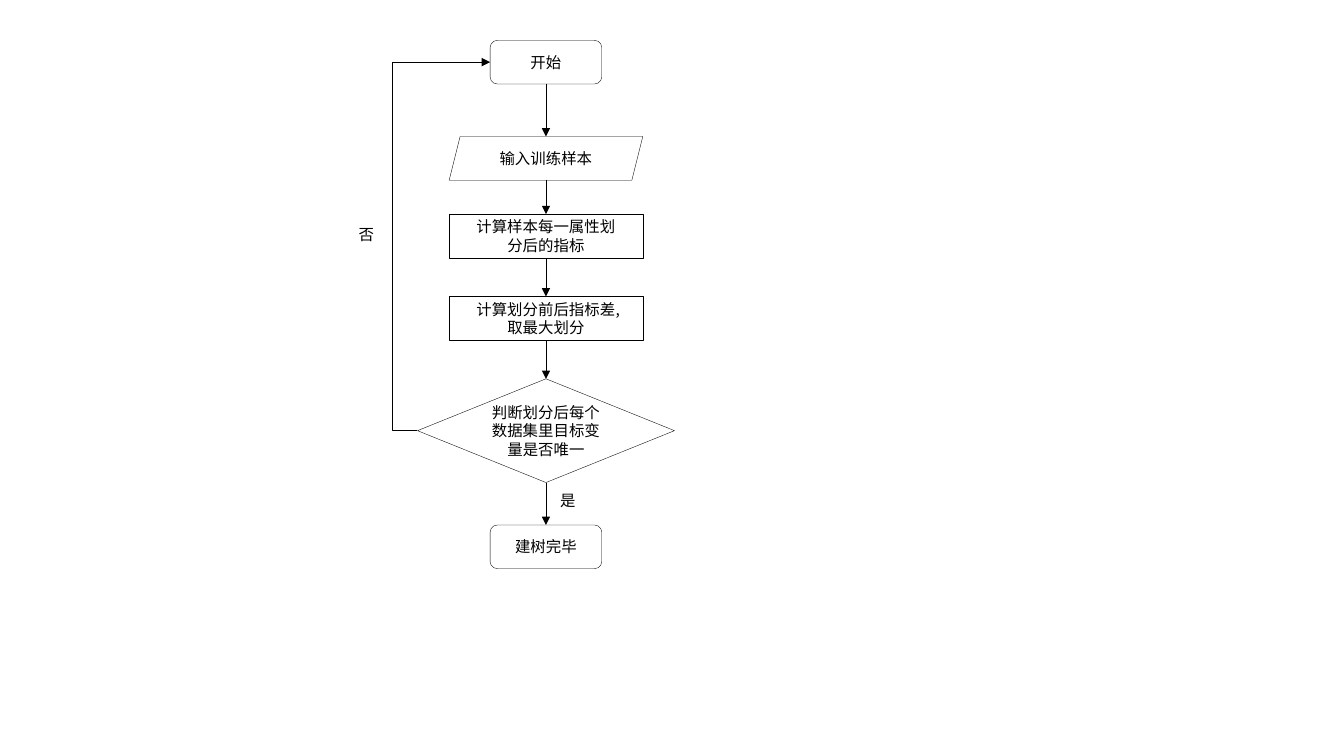
"""Build the decision-tree training flowchart on one slide."""
from itertools import pairwise
from typing import NamedTuple

from lxml import etree
from pptx import Presentation
from pptx.dml.color import RGBColor
from pptx.enum.shapes import MSO_CONNECTOR, MSO_SHAPE
from pptx.enum.text import MSO_ANCHOR, MSO_AUTO_SIZE, PP_ALIGN
from pptx.oxml.ns import qn
from pptx.util import Inches, Pt

ROUNDED = MSO_SHAPE.ROUNDED_RECTANGLE
SLANTED = MSO_SHAPE.PARALLELOGRAM
DECISION = MSO_SHAPE.FLOWCHART_DECISION
STRAIGHT, ELBOW = MSO_CONNECTOR.STRAIGHT, MSO_CONNECTOR.ELBOW
MIDDLE, CENTER, LEFT = MSO_ANCHOR.MIDDLE, PP_ALIGN.CENTER, PP_ALIGN.LEFT
FIT_TEXT = MSO_AUTO_SIZE.SHAPE_TO_FIT_TEXT

COLORS = {"ink": "000000", "paper": "FFFFFF"}
FONT, FONT_SIZE = "Noto Sans CJK SC", 11
COLUMNS, ROWS = 32, 18
AXIS, LOOP_COLUMN = 13, 9.34
STEP_HEIGHT, END_WIDTH, STEP_WIDTH = 1.04, 2.66, 4.61
LABEL_WIDTH, LABEL_HEIGHT = 0.84, 0.7


class Step(NamedTuple):
    """A flowchart step centred on the axis, in grid columns and rows."""
    text: str
    kind: MSO_SHAPE
    top: float
    width: float
    height: float = STEP_HEIGHT
    slant: float | None = None

    @property
    def left(self) -> float:
        return AXIS - self.width / 2

    @property
    def middle(self) -> float:
        return self.top + self.height / 2

    @property
    def bottom(self) -> float:
        return self.top + self.height


class Label(NamedTuple):
    """A branch label, in grid columns and rows."""
    text: str
    left: float
    top: float


STEPS = [
    Step("开始", ROUNDED, 0.96, END_WIDTH),
    Step("输入训练样本", SLANTED, 3.25, STEP_WIDTH),
    Step("计算样本每一属性划分后的指标", SLANTED, 5.1, STEP_WIDTH, slant=0),
    Step("计算划分前后指标差,取最大划分", SLANTED, 7.06, STEP_WIDTH, slant=0),
    Step("判断划分后每个数据集里目标变量是否唯一", DECISION, 9.02, 6.12, 2.47),
    Step("建树完毕", ROUNDED, 12.5, END_WIDTH),
]
LABELS = [Label("否", 8.3, 5.23), Label("是", 13.1, 11.57)]

deck = Presentation()
deck.slide_width, deck.slide_height = Inches(13.33), Inches(7.5)
page = deck.slides.add_slide(deck.slide_layouts[6])


def column(count: float) -> int:
    """Convert grid columns to a length."""
    return round(deck.slide_width * count / COLUMNS)


def row(count: float) -> int:
    """Convert grid rows to a length."""
    return round(deck.slide_height * count / ROWS)


def color(name: str) -> RGBColor:
    """Look up a named colour."""
    return RGBColor.from_string(COLORS[name])


def write(box, text: str, alignment: PP_ALIGN) -> None:
    """Write one run of text into a box."""
    box.text_frame.word_wrap = True
    para = box.text_frame.paragraphs[0]
    para.alignment = alignment
    span = para.add_run()
    span.text = text
    span.font.name, span.font.size = FONT, Pt(FONT_SIZE)
    span.font.color.rgb = color("ink")
    etree.SubElement(span.font._element, qn("a:ea"), typeface=FONT)


def draw_step(step: Step) -> None:
    """Draw one outlined step with its text."""
    box = page.shapes.add_shape(step.kind, column(step.left), row(step.top),
                                column(step.width), row(step.height))
    box.shadow.inherit = False
    box.fill.solid()
    box.fill.fore_color.rgb = color("paper")
    box.line.color.rgb = color("ink")
    box.line.width = Pt(0.25)
    if step.slant is not None:
        box.adjustments[0] = step.slant
    box.text_frame.vertical_anchor = MIDDLE
    write(box, step.text, CENTER)


def draw_label(label: Label) -> None:
    """Draw one branch label."""
    box = page.shapes.add_textbox(column(label.left), row(label.top),
                                  column(LABEL_WIDTH), row(LABEL_HEIGHT))
    box.text_frame.auto_size = FIT_TEXT
    write(box, label.text, LEFT)


def draw_arrow(kind: MSO_CONNECTOR, start: tuple[float, float],
               end: tuple[float, float], bend: float | None = None) -> None:
    """Draw an arrow, with the bend as a share of its width."""
    arrow = page.shapes.add_connector(kind, column(start[0]), row(start[1]),
                                      column(end[0]), row(end[1]))
    arrow.line.color.rgb = color("ink")
    arrow.line.width = Pt(0.5)
    properties = arrow._element.spPr
    etree.SubElement(properties.find(qn("a:ln")), qn("a:tailEnd"), type="triangle")
    etree.SubElement(properties, qn("a:effectLst"))
    if bend is not None:
        geometry = properties.find(qn("a:prstGeom"))
        guides = geometry.find(qn("a:avLst"))
        etree.SubElement(guides, qn("a:gd"), name="adj1",
                         fmla=f"val {round(bend * 100000)}")


for step in STEPS:
    draw_step(step)
for upper, lower in pairwise(STEPS):
    draw_arrow(STRAIGHT, (AXIS, upper.bottom), (AXIS, lower.top))
start, check = STEPS[0], STEPS[-2]
draw_arrow(ELBOW, (check.left, check.middle), (start.left, start.middle),
           (LOOP_COLUMN - check.left) / (start.left - check.left))
for label in LABELS:
    draw_label(label)

deck.save("out.pptx")
